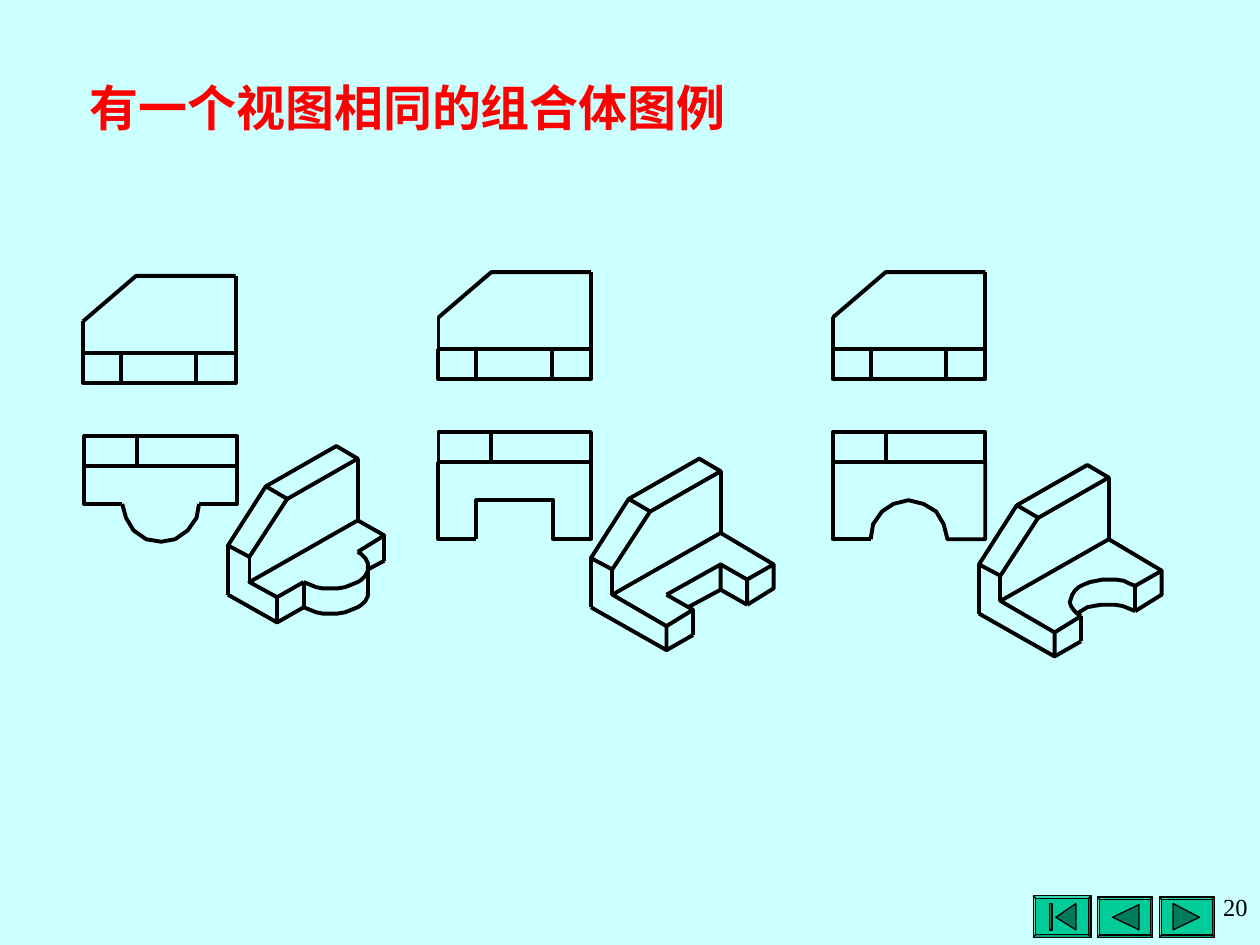
import pptx
import pptx.util
import pptx.dml.color
import pptx.enum.shapes
import pptx.enum.text
import pptx.oxml

RGB = pptx.dml.color.RGBColor
SKY, RED, BLACK = RGB(0xCC, 0xFF, 0xFF), RGB(0xFF, 0, 0), RGB(0, 0, 0)
GREEN, PINE = RGB(0, 0xCC, 0x99), RGB(0, 0x7A, 0x5C)
FONT = "Times New Roman"
KIND = pptx.enum.shapes.MSO_SHAPE
ALIGN = pptx.enum.text.PP_ALIGN
inch = pptx.util.Inches

TITLE = "有一个视图相同的组合体图例"
PAGE = "20"

# Front view, shared by all three bodies: paths from its top left corner
FRONT = [
    [(0, 0.61), (0, 0.36)],
    [(0, 0.36), (0.42, 0), (1.21, 0)],
    [(1.21, 0), (1.21, 0.61)],
    [(0, 0.61), (0, 0.85), (0.3, 0.85)],
    [(1.21, 0.61), (1.21, 0.85), (0.9, 0.85)],
    [(0, 0.61), (0.3, 0.61)],
    [(0.9, 0.61), (1.21, 0.61)],
]
FRONT_RECTS = [(0.3, 0.61, 0.6, 0.24)]

# Top view: the back plate is shared, the front edge differs
TOP_RECTS = [(0, 0, 0.42, 0.24), (0.42, 0, 0.79, 0.24)]
BUMP = [
    [(0.3, 0.54), (0, 0.54), (0, 0.24)],
    [(1.21, 0.24), (1.21, 0.54), (0.91, 0.54)],
    [(0.3, 0.54), (0.33, 0.65), (0.39, 0.75), (0.49, 0.82), (0.61, 0.84),
     (0.72, 0.82), (0.82, 0.75), (0.89, 0.65), (0.91, 0.54)],
]
LEFT = [(0.3, 0.85), (0, 0.85), (0, 0.24)]
RIGHT = [(1.21, 0.24), (1.21, 0.85), (0.91, 0.85)]
SLOT = [LEFT, RIGHT + [(0.91, 0.54), (0.3, 0.54), (0.3, 0.85)]]
NOTCH = [LEFT, RIGHT + [(0.88, 0.73), (0.82, 0.63), (0.72, 0.57), (0.6, 0.54),
                        (0.48, 0.57), (0.39, 0.63), (0.32, 0.73), (0.3, 0.85)]]

# Solid view: the upright plate is shared
PLATE = [
    [(0, 1.18), (0, 0.79)],
    [(0.17, 1.08), (0.17, 0.88)],
    [(0.17, 0.88), (0, 0.79), (0.3, 0.32), (0.47, 0.42), (0.17, 0.88)],
    [(0.3, 0.32), (0.86, 0), (1.03, 0.1), (0.47, 0.42)],
    [(1.03, 0.1), (1.03, 0.59)],
]
# Base with a round bump
DISC = [(0.6, 1.08), (0.65, 1.1), (0.7, 1.12), (0.75, 1.13), (0.81, 1.13),
        (0.87, 1.13), (0.93, 1.12), (0.98, 1.1), (1.03, 1.08), (1.06, 1.06),
        (1.09, 1.03), (1.11, 0.99), (1.11, 0.96), (1.11, 0.93), (1.09, 0.89),
        (1.06, 0.86), (1.03, 0.84)]
BUMP_BASE = [
    [(0, 1.18), (0.39, 1.4), (0.6, 1.28)],
    [(0.39, 1.4), (0.39, 1.2)],
    [(0.6, 1.08), (0.39, 1.2), (0.17, 1.08), (1.03, 0.59), (1.24, 0.71), (1.03, 0.84)],
    [(1.24, 0.71), (1.24, 0.91)],
    [(1.24, 0.91), (1.11, 0.98)],
    DISC,
    [(x, y + 0.2) for x, y in DISC[:13]],
    [(0.6, 1.28), (0.6, 1.08)],
    [(1.11, 1.16), (1.11, 0.96)],
]
# Long base, shared by the slot and the notch
BASE = [
    [(0.6, 1.33), (0.6, 1.52), (0, 1.18)],
    [(0.81, 1.4), (0.6, 1.52)],
    [(1.45, 0.84), (1.45, 1.03), (1.24, 1.16)],
    [(0.81, 1.2), (0.6, 1.33), (0.17, 1.08), (1.03, 0.59), (1.45, 0.84), (1.24, 0.96)],
]
SLOT_BASE = BASE + [
    [(1.24, 1.16), (1.03, 1.04)],
    [(1.03, 0.84), (1.24, 0.96), (1.24, 1.16)],
    [(1.03, 1.04), (0.77, 1.18)],
    [(0.6, 1.08), (1.03, 0.84), (1.03, 1.04)],
    [(0.81, 1.4), (0.81, 1.2), (0.6, 1.08)],
]
NOTCH_BASE = BASE + [
    [(1.24, 0.96), (1.19, 0.94), (1.15, 0.92), (1.09, 0.91), (1.04, 0.91),
     (0.98, 0.91), (0.93, 0.92), (0.88, 0.93), (0.83, 0.95), (0.79, 0.97),
     (0.76, 1), (0.74, 1.03), (0.73, 1.06), (0.72, 1.09), (0.73, 1.12),
     (0.75, 1.15), (0.78, 1.18), (0.81, 1.2)],
    [(1.24, 1.16), (1.19, 1.14), (1.14, 1.12), (1.08, 1.11), (1.03, 1.11),
     (0.97, 1.11), (0.91, 1.12), (0.86, 1.13), (0.81, 1.16), (0.78, 1.18)],
    [(1.24, 0.96), (1.24, 1.16)],
    [(0.81, 1.4), (0.81, 1.2)],
]

# Each body: corners of front, top and solid view, then its own paths
BODIES = [
    ((0.66, 2.19), (0.67, 3.46), (1.81, 3.54), BUMP, BUMP_BASE),
    ((3.48, 2.16), (3.48, 3.43), (4.69, 3.64), SLOT, SLOT_BASE),
    ((6.61, 2.16), (6.61, 3.43), (7.77, 3.69), NOTCH, NOTCH_BASE),
]

# Buttons: box, then the icon outlines
BUTTONS = [
    ((8.2, 7.11, 0.46, 0.33), [[(8.38, 7.28), (8.54, 7.17), (8.54, 7.38)],
                               [(8.33, 7.17), (8.35, 7.17), (8.35, 7.38), (8.33, 7.38)]]),
    ((8.71, 7.12, 0.44, 0.32), [[(8.83, 7.28), (9.04, 7.18), (9.04, 7.38)]]),
    ((9.2, 7.12, 0.44, 0.32), [[(9.31, 7.17), (9.52, 7.28), (9.31, 7.38)]]),
]


def style(shape, fill=None, width=2.25):
    shape.shadow.inherit = False
    if fill is None:
        shape.fill.background()
    else:
        shape.fill.solid()
        shape.fill.fore_color.rgb = fill
    shape.line.color.rgb = BLACK
    shape.line.width = pptx.util.Pt(width)


def trace(shapes, points, close=False):
    pts = [(inch(x), inch(y)) for x, y in points]
    pen = shapes.build_freeform(*pts[0], scale=1.0)
    pen.add_line_segments(pts[1:], close=close)
    return pen.convert_to_shape()


def edge(shapes, start, end):
    line = shapes.add_connector(pptx.enum.shapes.MSO_CONNECTOR.STRAIGHT,
                                *[inch(v) for v in start + end])
    line.line.color.rgb = BLACK
    line.line.width = pptx.util.Pt(2.25)
    line._element.spPr.append(pptx.oxml.parse_xml(
        '<a:effectLst xmlns:a="http://schemas.openxmlformats.org/drawingml/2006/main"/>'))


def view(shapes, corner, paths, rects=()):
    left, top = corner
    for x, y, w, h in rects:
        style(shapes.add_shape(KIND.RECTANGLE, inch(left + x), inch(top + y), inch(w), inch(h)))
    for path in paths:
        pts = [(left + x, top + y) for x, y in path]
        if len(pts) == 2:
            edge(shapes, *pts)
        else:
            style(trace(shapes, pts))


def write(box, area, text, size, align, color, bold=False):
    box.left, box.top, box.width, box.height = [inch(v) for v in area]
    frame = box.text_frame
    frame.word_wrap = True
    frame.text = text
    para = frame.paragraphs[0]
    para.alignment = align
    font = para.runs[0].font
    font.name, font.size, font.bold = FONT, pptx.util.Pt(size), bold
    font.color.rgb = color


def main():
    deck = pptx.Presentation()
    deck.slide_width, deck.slide_height = inch(10), inch(7.5)
    slide = deck.slides.add_slide(deck.slide_layouts[5])
    slide.background.fill.solid()
    slide.background.fill.fore_color.rgb = SKY
    shapes = slide.shapes

    # Navigation buttons
    for area, icons in BUTTONS:
        key = shapes.add_shape(KIND.BEVEL, *[inch(v) for v in area])
        key.adjustments[0] = 0.06
        style(key, GREEN, 0.75)
        for icon in icons:
            style(trace(shapes, icon, True), PINE, 0.75)

    # Three bodies, each with two views and a solid
    for front, top, solid, rim, base in BODIES:
        view(shapes.add_group_shape().shapes, front, FRONT, FRONT_RECTS)
        group = shapes.add_group_shape().shapes
        view(group, top, rim, TOP_RECTS)
        view(group, solid, PLATE + base)

    # Title and page number
    write(shapes.title, (0.48, 0.56, 5.51, 0.57), TITLE, 28, ALIGN.CENTER, RED, True)
    write(shapes.add_textbox(0, 0, 0, 0), (7.48, 7.03, 2.52, 0.61), PAGE, 14, ALIGN.RIGHT, BLACK)
    deck.save("out.pptx")


if __name__ == "__main__":
    main()
